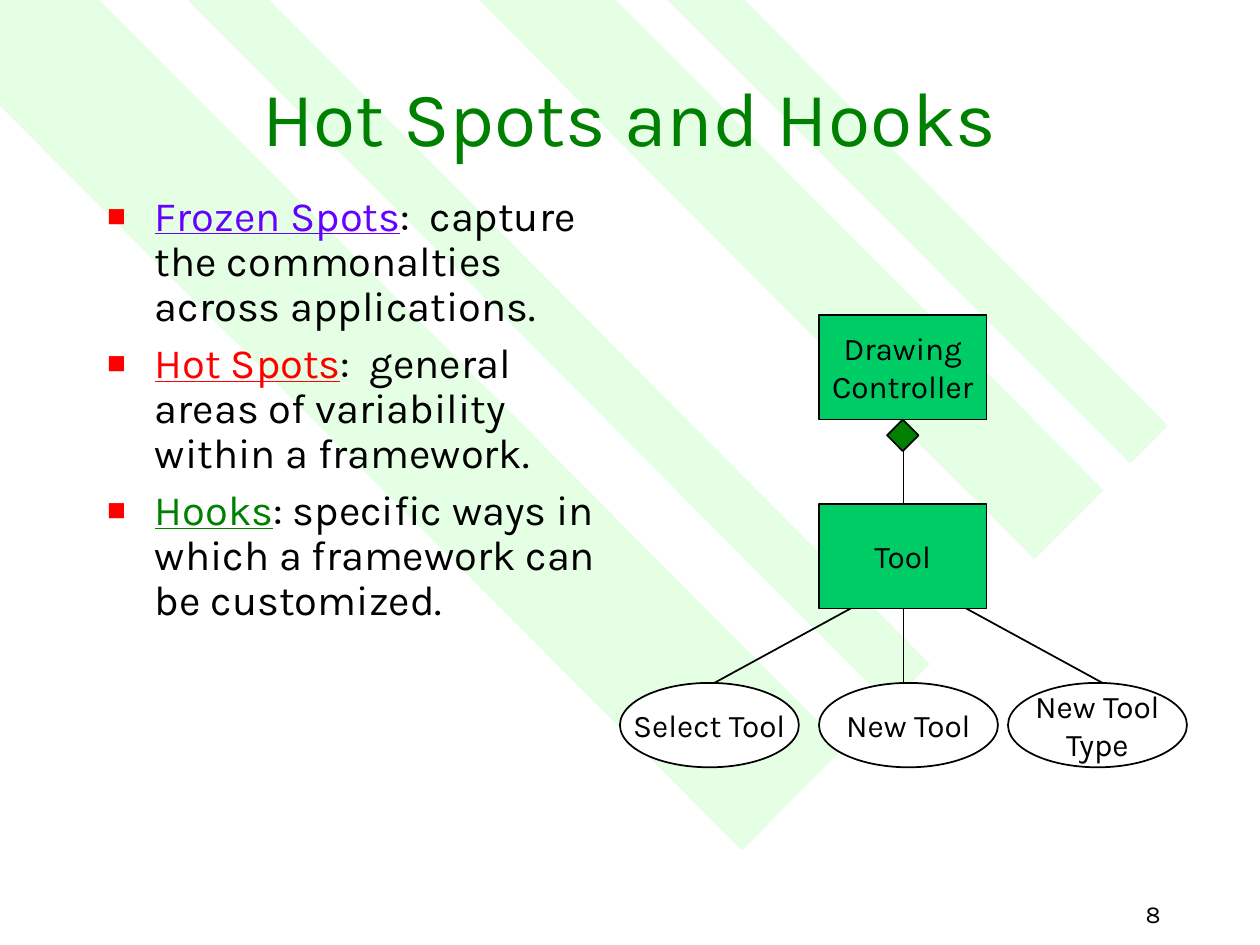
from dataclasses import dataclass

import pptx
import pptx.dml.color
import pptx.enum.shapes
import pptx.enum.text
import pptx.oxml
import pptx.oxml.ns
import pptx.util
from lxml import etree
from pptx.util import Inches

FONT = "Karla"
COLORS = {
    "black": "000000",
    "white": "FFFFFF",
    "band": "CCFFCC",
    "box": "00CC66",
    "green": "008000",
    "red": "FF0000",
    "violet": "6600FF",
}
BLACK_LINE = 1
SHAPES = pptx.enum.shapes.MSO_SHAPE
ALIGN = pptx.enum.text.PP_ALIGN
MIDDLE = pptx.enum.text.MSO_ANCHOR.MIDDLE

Point = tuple[float, float]


@dataclass
class Node:
    kind: int
    left: float
    top: float
    width: float
    height: float
    fill: str
    label: str = ""


@dataclass
class Term:
    name: str
    color: str
    meaning: str


BANDS: list[list[Point]] = [
    [(6.7, 5.93), (0.79, 0), (0, 0), (0, 0.84), (5.89, 6.75)],
    [(2.14, 0), (7.38, 5.27), (7.06, 5.59), (1.49, 0)],
    [(4.89, 0), (8.76, 3.89), (8.21, 4.44), (3.8, 0)],
    [(5.3, 0), (8.97, 3.68), (9.27, 3.38), (5.91, 0)],
]
TERMS = [
    Term("Frozen Spots", "violet", ":  capture the commonalties across applications."),
    Term("Hot Spots", "red", ":  general areas of variability within a framework."),
    Term("Hooks", "green", ": specific ways in which a framework can be customized."),
]
NODES = [
    Node(SHAPES.RECTANGLE, 6.5, 4, 1.33, 0.83, "box", "Tool"),
    Node(SHAPES.RECTANGLE, 6.5, 2.5, 1.33, 0.83, "box", "Drawing\nController"),
    Node(SHAPES.OVAL, 4.92, 5.42, 1.42, 0.67, "white", "Select Tool"),
    Node(SHAPES.OVAL, 6.5, 5.42, 1.42, 0.67, "white", "New Tool"),
    Node(SHAPES.OVAL, 8, 5.42, 1.42, 0.67, "white", "New Tool\nType"),
    Node(SHAPES.DIAMOND, 7.04, 3.33, 0.25, 0.25, "green"),
]
LINKS: list[tuple[Point, Point]] = [
    ((6.75, 4.83), (5.67, 5.42)),
    ((7.17, 4.83), (7.17, 5.42)),
    ((7.67, 4.83), (8.75, 5.42)),
    ((7.17, 3.58), (7.17, 4)),
]


def rgb(name: str) -> pptx.dml.color.RGBColor:
    return pptx.dml.color.RGBColor.from_string(COLORS[name])


def place(shape, left: float, top: float, width: float, height: float) -> None:
    shape.left, shape.top = Inches(left), Inches(top)
    shape.width, shape.height = Inches(width), Inches(height)


def format_para(para, size: float, color: str, align: int) -> None:
    para.alignment = align
    para.font.name = FONT
    para.font.size = pptx.util.Pt(size)
    para.font.color.rgb = rgb(color)


def draw_band(page, points: list[Point]) -> None:
    corners = [(Inches(x), Inches(y)) for x, y in points]
    builder = page.shapes.build_freeform(*corners[0])
    builder.add_line_segments(corners[1:], close=True)
    band = builder.convert_to_shape()
    band.shadow.inherit = False
    band.line.fill.background()
    band.fill.solid()
    band.fill.fore_color.rgb = rgb("band")
    color = band._element.spPr.find(".//" + pptx.oxml.ns.qn("a:srgbClr"))
    etree.SubElement(color, pptx.oxml.ns.qn("a:alpha"), val="50000")


def draw_node(page, node: Node) -> None:
    shape = page.shapes.add_shape(
        node.kind, *map(Inches, (node.left, node.top, node.width, node.height))
    )
    shape.shadow.inherit = False
    shape.fill.solid()
    shape.fill.fore_color.rgb = rgb(node.fill)
    shape.line.color.rgb = rgb("black")
    shape.line.width = pptx.util.Pt(BLACK_LINE)
    if node.label:
        frame = shape.text_frame
        frame.text = node.label
        frame.word_wrap = False
        frame.vertical_anchor = MIDDLE
        for para in frame.paragraphs:
            format_para(para, 18, "black", ALIGN.CENTER)


def draw_link(page, start: Point, end: Point) -> None:
    link = page.shapes.add_connector(
        pptx.enum.shapes.MSO_CONNECTOR.STRAIGHT, *map(Inches, start + end)
    )
    link.line.color.rgb = rgb("black")
    link.line.width = pptx.util.Pt(BLACK_LINE)
    etree.SubElement(link._element.spPr, pptx.oxml.ns.qn("a:effectLst"))


def add_square_bullet(para) -> None:
    """Give the paragraph a hanging indent and a small red square."""
    properties = para._p.get_or_add_pPr()
    properties.set("marL", str(Inches(0.38)))
    properties.set("indent", str(-Inches(0.38)))
    qn = pptx.oxml.ns.qn
    color = etree.SubElement(properties, qn("a:buClr"))
    etree.SubElement(color, qn("a:srgbClr"), val=COLORS["red"])
    etree.SubElement(properties, qn("a:buSzPct"), val="75000")
    etree.SubElement(properties, qn("a:buFont"), typeface="Arial")
    etree.SubElement(properties, qn("a:buChar"), char="■")


def fill_title(title) -> None:
    place(title, 0.75, 0.25, 8.5, 1.33)
    frame = title.text_frame
    frame.text = "Hot Spots and Hooks"
    frame.auto_size = pptx.enum.text.MSO_AUTO_SIZE.NONE
    frame.vertical_anchor = MIDDLE
    format_para(frame.paragraphs[0], 44, "green", ALIGN.CENTER)


def fill_terms(body) -> None:
    place(body, 0.75, 1.5, 4.25, 4.5)
    frame = body.text_frame
    frame.auto_size = pptx.enum.text.MSO_AUTO_SIZE.NONE
    for index, term in enumerate(TERMS):
        para = frame.add_paragraph() if index else frame.paragraphs[0]
        add_square_bullet(para)
        para.line_spacing = 0.9
        para.space_before = pptx.util.Pt(7 if index else 0)
        format_para(para, 23.8, "black", ALIGN.LEFT)
        span = para.add_run()
        span.text = term.name
        span.font.underline = True
        span.font.color.rgb = rgb(term.color)
        para.add_run().text = term.meaning


def add_page_number(page) -> None:
    box = page.shapes.add_textbox(*map(Inches, (7.23, 7, 2.08, 0.5)))
    frame = box.text_frame
    frame.word_wrap = True
    frame.vertical_anchor = MIDDLE
    frame.text = "8"
    format_para(frame.paragraphs[0], 14, "black", ALIGN.RIGHT)


def main() -> None:
    deck = pptx.Presentation()
    deck.slide_width, deck.slide_height = Inches(10), Inches(7.5)
    page = deck.slides.add_slide(deck.slide_layouts[1])
    title, body = page.placeholders
    for points in BANDS:
        draw_band(page, points)
    for holder in (title, body):
        page.shapes._spTree.append(holder._element)  # in front of the bands
    fill_title(title)
    fill_terms(body)
    for node in NODES:
        draw_node(page, node)
    for start, end in LINKS:
        draw_link(page, start, end)
    add_page_number(page)
    deck.save("out.pptx")


if __name__ == "__main__":
    main()
